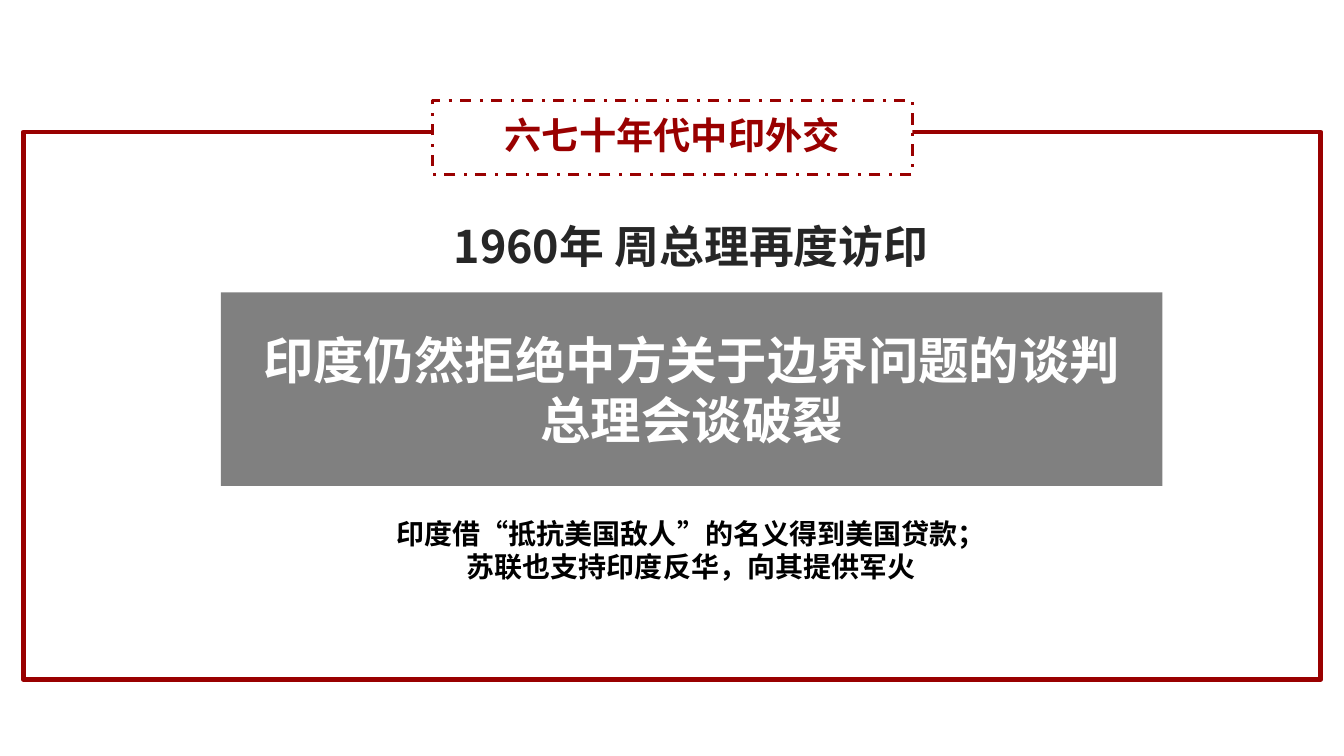
from lxml import etree
from pptx import Presentation
from pptx.dml.color import RGBColor
from pptx.enum.dml import MSO_LINE
from pptx.enum.shapes import MSO_SHAPE
from pptx.enum.text import MSO_ANCHOR, PP_ALIGN
from pptx.oxml.ns import qn
from pptx.util import Inches, Pt

RECTANGLE = MSO_SHAPE.RECTANGLE
DASH_DOT = MSO_LINE.DASH_DOT
MIDDLE, TOP = MSO_ANCHOR.MIDDLE, MSO_ANCHOR.TOP
CENTER = PP_ALIGN.CENTER

FONT = "Noto Sans CJK SC"
COLORS = {
    "red": "990000",
    "white": "FFFFFF",
    "gray": "808080",
    "dark": "262626",
    "black": "000000",
}
TITLE = ["六七十年代中印外交"]
EVENT = ["1960年 周总理再度访印"]
OUTCOME = ["印度仍然拒绝中方关于边界问题的谈判", "总理会谈破裂"]
AFTERMATH = [
    "印度借“抵抗美国敌人”的名义得到美国贷款；",
    "苏联也支持印度反华，向其提供军火",
]


def color(name):
    return RGBColor.from_string(COLORS[name])


def add_box(slide, place, fill=None, line=None, width=0):
    box = slide.shapes.add_shape(RECTANGLE, *map(Inches, place))
    box.shadow.inherit = False
    if fill:
        box.fill.solid()
        box.fill.fore_color.rgb = color(fill)
    else:
        box.fill.background()
    if line:
        box.line.color.rgb = color(line)
        box.line.width = Pt(width)
    else:
        box.line.fill.background()
    return box


def write(box, lines, size, ink, anchor=TOP, wrap=True, spacing=None):
    frame = box.text_frame
    frame.text = "\n".join(lines)
    frame.word_wrap = wrap
    frame.vertical_anchor = anchor
    for para in frame.paragraphs:
        para.alignment = CENTER
        if spacing:
            para.line_spacing = spacing
        for span in para.runs:
            span.font.size = Pt(size)
            span.font.bold = True
            span.font.color.rgb = color(ink)
            span.font.name = FONT
            properties = span.font._element
            properties.set("lang", "zh-CN")
            east_asian = etree.SubElement(properties, qn("a:ea"))
            east_asian.set("typeface", FONT)


def main():
    deck = Presentation()
    deck.slide_width, deck.slide_height = Inches(13.33), Inches(7.5)
    slide = deck.slides.add_slide(deck.slide_layouts[6])

    add_box(slide, (0.23, 1.31, 12.87, 5.43), line="red", width=3.5)

    title = add_box(slide, (4.29, 1, 4.76, 0.73), "white", "red", 2)
    title.line.dash_style = DASH_DOT
    write(title, TITLE, 26.6, "red", MIDDLE, spacing=0.9)

    event = slide.shapes.add_textbox(*map(Inches, (4.33, 2.12, 5.05, 0.64)))
    write(event, EVENT, 32, "dark")

    outcome = add_box(slide, (2.19, 2.9, 9.34, 1.92), "gray")
    write(outcome, OUTCOME, 36, "white", MIDDLE)

    aftermath = slide.shapes.add_textbox(*map(Inches, (3.81, 5.07, 6.09, 0.77)))
    write(aftermath, AFTERMATH, 20, "black", wrap=False)

    deck.save("out.pptx")


if __name__ == "__main__":
    main()
